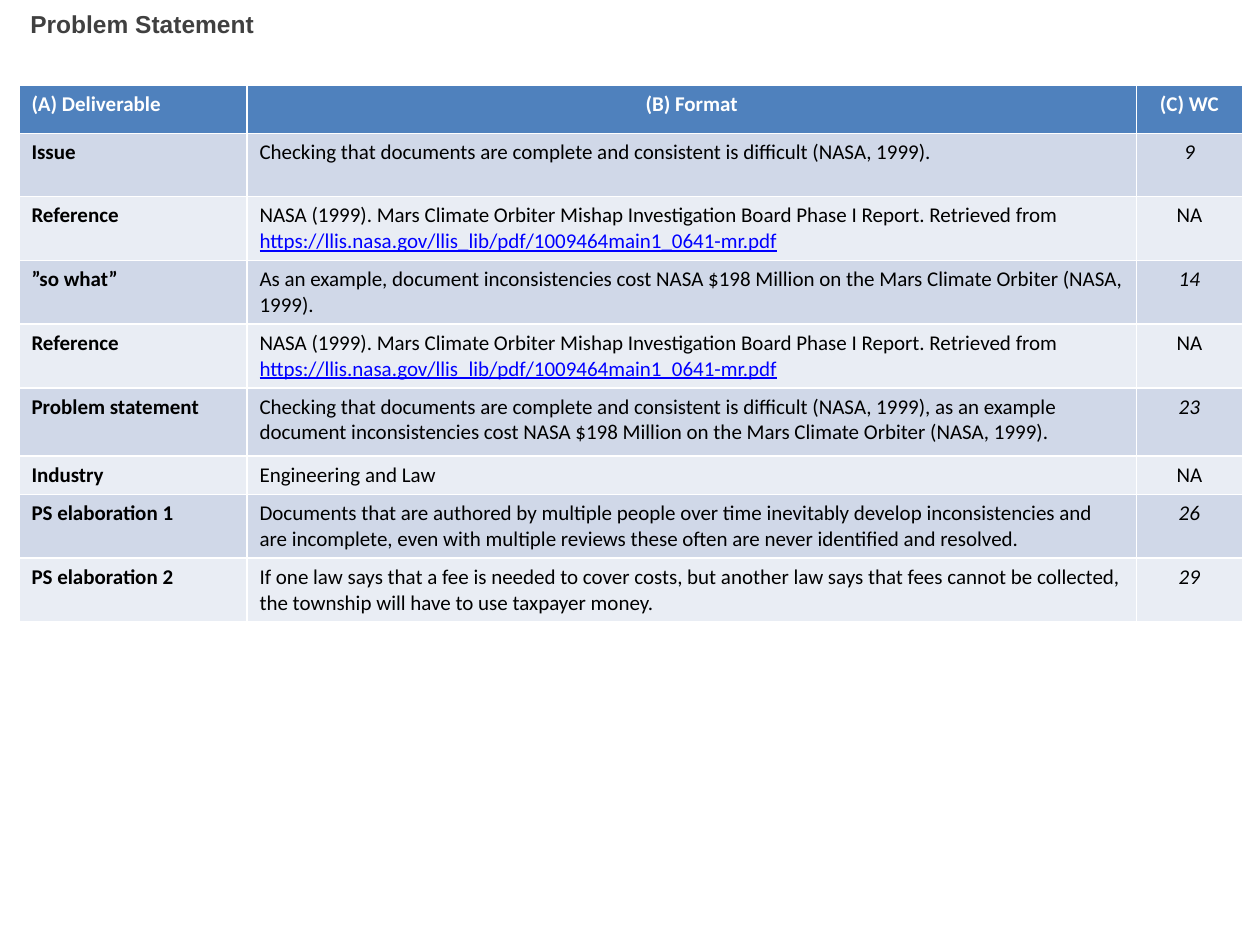
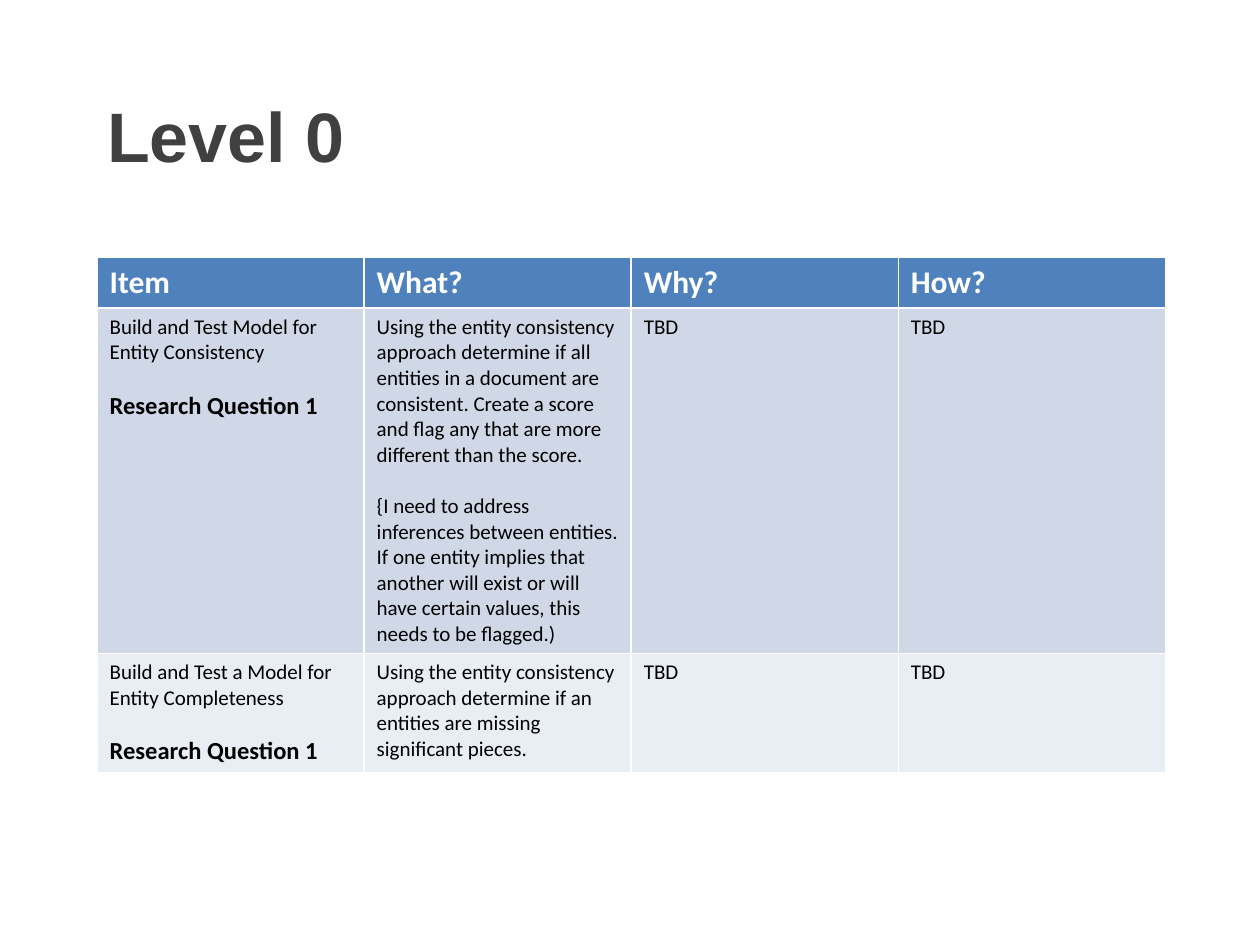
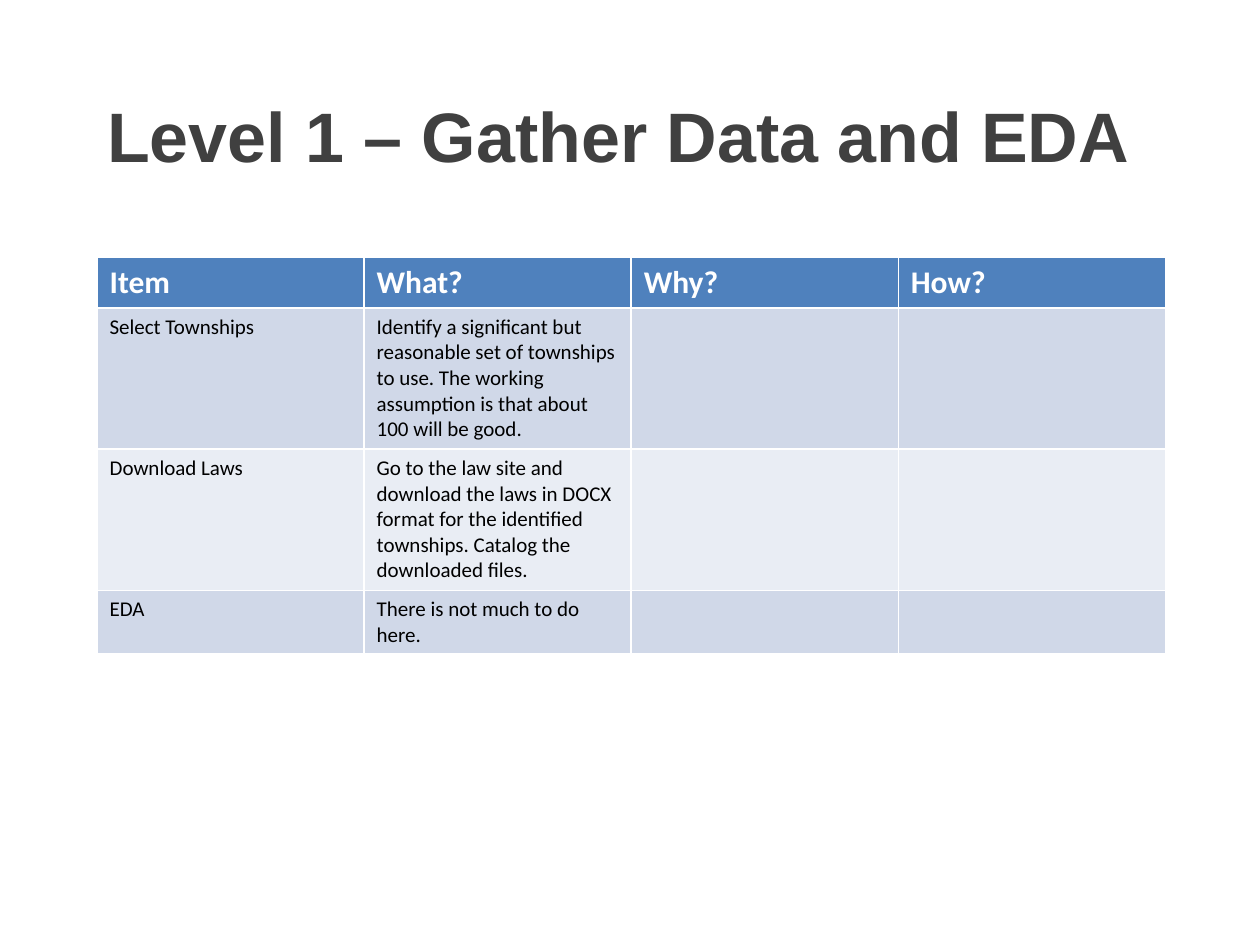
from pptx import Presentation
from pptx.dml.color import RGBColor
from pptx.enum import text
from pptx.util import Inches, Pt

COLORS = {
    "title": "404040",
    "header": "4F81BD",
    "header_text": "FFFFFF",
    "body_text": "000000",
    "link": "0000FF",
    "odd_row": "D0D8E8",
    "even_row": "E9EDF4",
}
BODY_SIZE = 12
LINK_START = "https://"

REPORT = ("NASA (1999). Mars Climate Orbiter Mishap Investigation Board Phase I Report. "
          "Retrieved from https://llis.nasa.gov/llis_lib/pdf/1009464main1_0641-mr.pdf")
QUESTION = "Research Question 1"
LEVEL_HEADER = ("Item", "What?", "Why?", "How?")

# A cell is a string, or a tuple with one string per paragraph.
PROBLEM_ROWS = [
    ("(A) Deliverable", "(B) Format", "(C) WC"),
    ("Issue", "Checking that documents are complete and consistent is difficult (NASA, 1999).", "9"),
    ("Reference", REPORT, "NA"),
    ("”so what”", "As an example, document inconsistencies cost NASA $198 Million on the "
                  "Mars Climate Orbiter (NASA, 1999).", "14"),
    ("Reference", REPORT, "NA"),
    ("Problem statement", "Checking that documents are complete and consistent is difficult "
                          "(NASA, 1999), as an example document inconsistencies cost NASA "
                          "$198 Million on the Mars Climate Orbiter (NASA, 1999).", "23"),
    ("Industry", "Engineering and Law", "NA"),
    ("PS elaboration 1", "Documents that are authored by multiple people over time inevitably "
                         "develop inconsistencies and are incomplete, even with multiple reviews "
                         "these often are never identified and resolved.", "26"),
    ("PS elaboration 2", "If one law says that a fee is needed to cover costs, but another law "
                         "says that fees cannot be collected, the township will have to use "
                         "taxpayer money.", "29"),
]
LEVEL_0_ROWS = [
    LEVEL_HEADER,
    (("Build and Test Model for Entity Consistency", QUESTION),
     ("Using the entity consistency approach determine if all entities in a document are "
      "consistent. Create a score and flag any that are more different than the score.",
      "{I need to address inferences between entities. If one entity implies that another "
      "will exist or will have certain values, this needs to be flagged.)"),
     "TBD", "TBD"),
    (("Build and Test a Model for Entity Completeness", QUESTION),
     "Using the entity consistency approach determine if an entities are missing "
     "significant pieces.",
     "TBD", "TBD"),
]
LEVEL_1_ROWS = [
    LEVEL_HEADER,
    ("Select Townships", "Identify a significant but reasonable set of townships to use. "
                         "The working assumption is that about 100 will be good.", "", ""),
    ("Download Laws", "Go to the law site and download the laws in DOCX format for the "
                      "identified townships. Catalog the downloaded files.", "", ""),
    ("EDA", "There is not much to do here.", "", ""),
]

# Boxes are left, top, width, height in inches.
PROBLEM_STYLE = {
    "title_box": (0.14, 0, 8.48, 0.68), "title_size": 14,
    "table_at": (0.15, 0.68), "columns": (1.81, 7.06, 0.84),
    "header_size": 12, "label_bold": True,
    "header_centred": (1, 2), "body_centred": (2,),
}
LEVEL_STYLE = {
    "title_box": (0.75, 0.62, 8.48, 1.15), "title_size": 40,
    "table_at": (0.77, 2.04), "columns": (2.12,) * 4,
    "header_size": 18, "label_bold": False,
    "header_centred": (), "body_centred": (),
}
SLIDES = [
    ("Problem Statement", PROBLEM_ROWS, PROBLEM_STYLE,
     (0.38, 0.5, 0.5, 0.5, 0.5, 0.54, 0.3, 0.5, 0.5)),
    ("Level 0", LEVEL_0_ROWS, LEVEL_STYLE, (0.4, 2.74, 0.94)),
    ("Level 1 – Gather Data and EDA", LEVEL_1_ROWS, LEVEL_STYLE, (0.4, 1.12, 1.12, 0.5)),
]


def rgb(name):
    return RGBColor.from_string(COLORS[name])


def format_run(run, font_name, size, color, bold):
    run.font.name = font_name
    run.font.size = Pt(size)
    run.font.color.rgb = rgb(color)
    run.font.bold = bold


def set_title(slide, wording, style):
    title = slide.shapes.title
    title.left, title.top, title.width, title.height = map(Inches, style["title_box"])
    frame = title.text_frame
    frame.text = wording
    frame.auto_size = text.MSO_AUTO_SIZE.NONE
    frame.vertical_anchor = text.MSO_ANCHOR.TOP
    line = frame.paragraphs[0]
    line.alignment = text.PP_ALIGN.LEFT
    line.line_spacing = 1.1
    format_run(line.runs[0], "Arial", style["title_size"], "title", True)


def write_paragraph(paragraph, wording, size, color, bold):
    """Write the wording, with any web address at its end shown as a link."""
    lead, start, address = wording.partition(LINK_START)
    paragraph.text = lead
    for run in paragraph.runs:
        format_run(run, "Calibri", size, color, bold)
    if start:
        link = paragraph.add_run()
        link.text = start + address
        format_run(link, "Calibri", size, "link", bold)
        link.font.underline = True


def fill_cell(cell, content, row, column, style):
    is_header = row == 0
    fill = "header" if is_header else "odd_row" if row % 2 else "even_row"
    cell.fill.solid()
    cell.fill.fore_color.rgb = rgb(fill)
    if not content:
        return
    size = style["header_size"] if is_header else BODY_SIZE
    color = "header_text" if is_header else "body_text"
    bold = is_header or (style["label_bold"] and column == 0)
    centred = style["header_centred"] if is_header else style["body_centred"]
    wordings = (content,) if isinstance(content, str) else content

    for index, wording in enumerate(wordings):
        paragraph = cell.text_frame.paragraphs[0] if index == 0 else cell.text_frame.add_paragraph()
        if wording == QUESTION:
            write_paragraph(paragraph, wording, 14, color, True)
        else:
            write_paragraph(paragraph, wording, size, color, bold)
        if index:
            paragraph.space_before = Pt(14.6)
        if column in centred:
            paragraph.alignment = text.PP_ALIGN.CENTER
        if wording.isdigit():
            paragraph.runs[0].font.italic = True


def add_grid(slide, rows, style, heights):
    columns = style["columns"]
    left, top = style["table_at"]
    table = slide.shapes.add_table(
        len(rows), len(columns), Inches(left), Inches(top),
        Inches(sum(columns)), Inches(sum(heights))).table
    for column, width in zip(table.columns, columns):
        column.width = Inches(width)
    for row, height in zip(table.rows, heights):
        row.height = Inches(height)
    for r, contents in enumerate(rows):
        for c, content in enumerate(contents):
            fill_cell(table.cell(r, c), content, r, c, style)


def main():
    deck = Presentation()
    deck.slide_width, deck.slide_height = Inches(10), Inches(7.5)
    title_only = deck.slide_layouts[5]
    for title, rows, style, heights in SLIDES:
        slide = deck.slides.add_slide(title_only)
        set_title(slide, title, style)
        add_grid(slide, rows, style, heights)
    deck.save("out.pptx")


if __name__ == "__main__":
    main()
